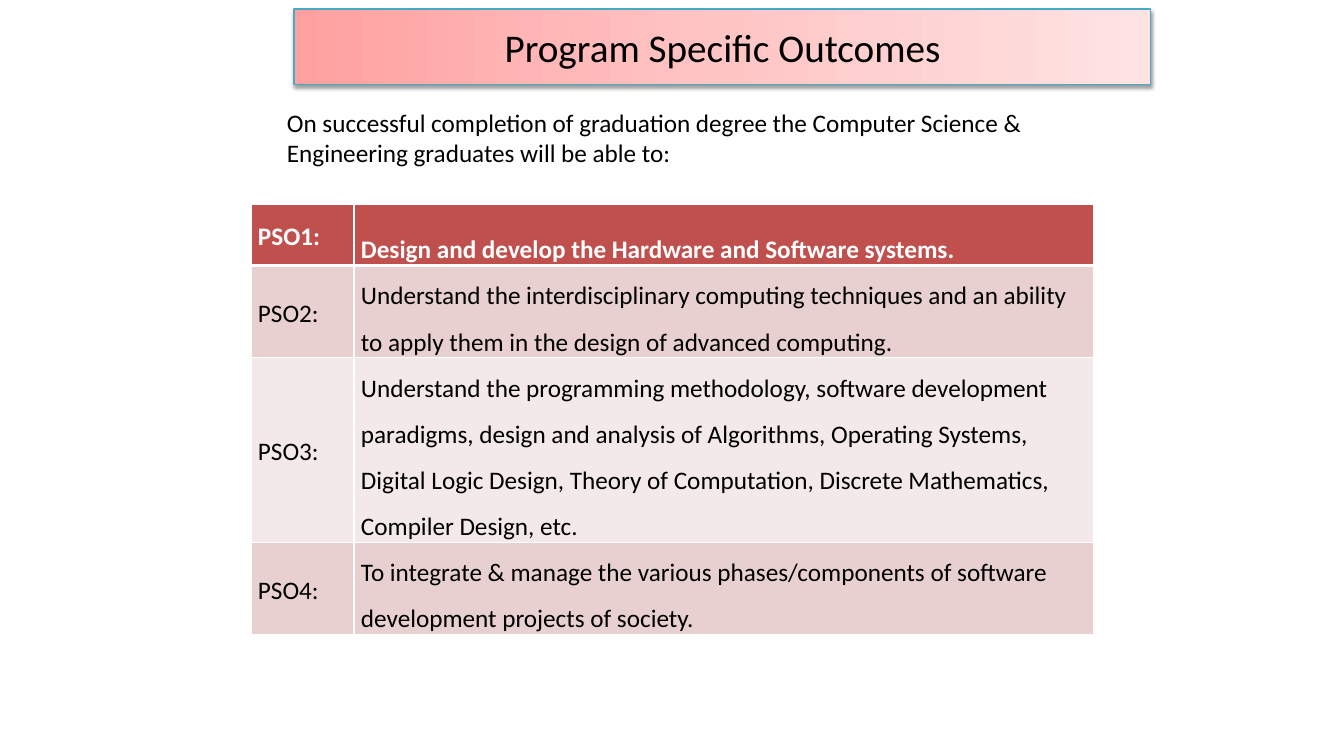
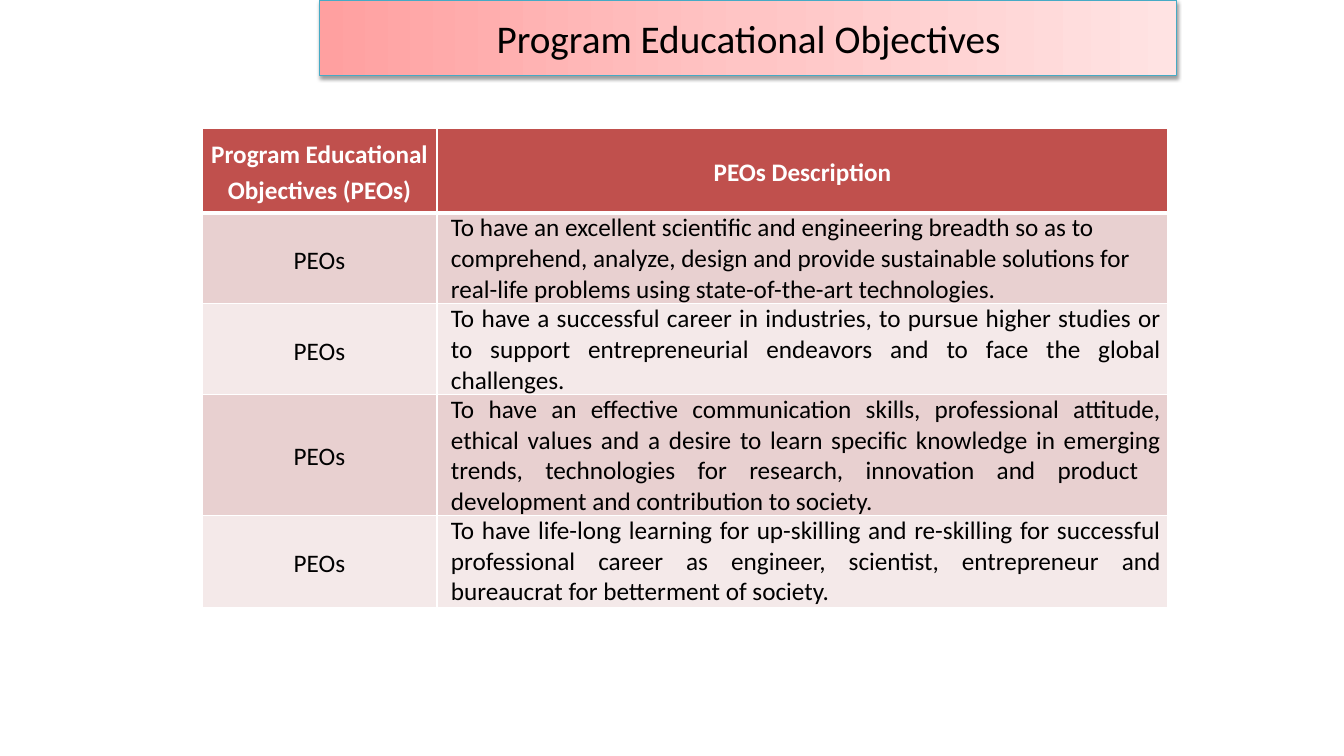
from lxml import etree
from pptx import Presentation
from pptx.dml.color import RGBColor
from pptx.enum.shapes import MSO_SHAPE
from pptx.enum.text import MSO_ANCHOR, PP_ALIGN
from pptx.oxml.ns import qn
from pptx.util import Emu, Pt

RECT = MSO_SHAPE.RECTANGLE
TOP, MID = MSO_ANCHOR.TOP, MSO_ANCHOR.MIDDLE
LEFT, MIDDLE, JUST = PP_ALIGN.LEFT, PP_ALIGN.CENTER, PP_ALIGN.JUSTIFY

FONT = "Calibri"
BLACK, WHITE = "000000", "FFFFFF"
HEAD, BANDS = "C0504D", ("E8D0D0", "F4E9E9")
EDGE = "46AAC5"
FADE = ((0, "FFA0A0"), (50, "FFC5C5"), (100, "FFE3E3"))
BANNER = (857, 76)
INSET = 7

# Cell style: alignment, line spacing, anchor, indent in px
TAG = (LEFT, 1.15, MID, 0)
TALL = (LEFT, 2.0, TOP, 0)
WIDE = (LEFT, 1.5, TOP, 0)
MARK = (MIDDLE, 1.15, MID, 0)
PLAIN = (LEFT, 1.0, MID, INSET)
BLOCK = (JUST, 1.0, MID, INSET)

SLIDES = [
    {
        "title": "Program Specific Outcomes",
        "banner": (294, 9),
        "intro": [
            "On successful completion of graduation degree the Computer Science &",
            "Engineering graduates will be able to:",
        ],
        "place": (251, 204),
        "cols": (103, 740),
        "rows": [
            (52, TAG, "PSO1:", TALL,
             "Design and develop the Hardware and Software systems."),
            (87, TAG, "PSO2:", WIDE,
             "Understand the interdisciplinary computing techniques and an "
             "ability to apply them in the design of advanced computing."),
            (178, TAG, "PSO3:", WIDE,
             "Understand the programming methodology, software development "
             "paradigms, design and analysis of Algorithms, Operating Systems, "
             "Digital Logic Design, Theory of Computation, Discrete "
             "Mathematics, Compiler Design, etc."),
            (87, TAG, "PSO4:", WIDE,
             "To integrate & manage the various phases/components of software "
             "development projects of society."),
        ],
    },
    {
        "title": "Program Educational Objectives",
        "banner": (320, 0),
        "intro": [],
        "place": (202, 128),
        "cols": (235, 731),
        "rows": [
            (85, MARK, "Program Educational Objectives (PEOs)", MARK,
             "PEOs Description"),
            (88, MARK, "PEOs", PLAIN,
             "To have an excellent scientific and engineering breadth so as to "
             "comprehend, analyze, design and provide sustainable solutions "
             "for real-life problems using state-of-the-art technologies."),
            (86, MARK, "PEOs", BLOCK,
             "To have a successful career in industries, to pursue higher "
             "studies or to support entrepreneurial endeavors and to face the "
             "global challenges."),
            (117, MARK, "PEOs", BLOCK,
             "To have an effective communication skills, professional "
             "attitude, ethical values and a desire to learn specific "
             "knowledge in emerging trends, technologies for research, "
             "innovation and product  development and contribution to "
             "society."),
            (92, MARK, "PEOs", BLOCK,
             "To have life-long learning for up-skilling and re-skilling for "
             "successful professional career as engineer, scientist, "
             "entrepreneur and bureaucrat for betterment of society."),
        ],
    },
]


def px(n):
    return Emu(round(n * 914400 / 100.8))


def rgb(code):
    return RGBColor.from_string(code)


def node(up, tag, **attrs):
    """Add a drawing element with the given attributes."""
    new = etree.SubElement(up, qn("a:" + tag))
    for key, val in attrs.items():
        new.set(key, str(val))
    return new


def style(para, size, color=BLACK, bold=False, align=LEFT):
    para.alignment = align
    font = para.font
    font.name, font.size, font.bold = FONT, Pt(size), bold
    font.color.rgb = rgb(color)


def add_banner(slide, title, place):
    box = slide.shapes.add_shape(RECT, *map(px, place + BANNER))
    props = box._element.spPr
    grad = node(props, "gradFill", rotWithShape=1)
    stops = node(grad, "gsLst")
    for pos, code in FADE:
        node(node(stops, "gs", pos=pos * 1000), "srgbClr", val=code)
    node(grad, "lin", ang=0, scaled=0)
    box.line.color.rgb = rgb(EDGE)
    box.line.width = Pt(0.75)
    box.shadow.inherit = False
    glow = node(props.find(qn("a:effectLst")), "outerShdw",
                blurRad=Pt(3.1), dist=Pt(1.6), dir=90 * 60000, rotWithShape=0)
    node(node(glow, "srgbClr", val=BLACK), "alpha", val=38000)
    frame = box.text_frame
    frame.vertical_anchor = MID
    frame.text = title
    style(frame.paragraphs[0], 28, align=MIDDLE)


def add_intro(slide, lines):
    frame = slide.shapes.add_textbox(*map(px, (277, 102, 832, 72))).text_frame
    frame.word_wrap = True
    frame.text = "\n".join(lines)
    for para in frame.paragraphs:
        style(para, 18, align=JUST)


def fill_cell(cell, text, look, row):
    align, space, anchor, indent = look
    head = row == 0
    props = cell._tc.get_or_add_tcPr()
    for side in "LRTB":
        thick = 3 if (head and side == "B") or (row == 1 and side == "T") else 1
        line = node(props, "ln" + side, w=Pt(thick))
        node(node(line, "solidFill"), "srgbClr", val=WHITE)
    cell.fill.solid()
    cell.fill.fore_color.rgb = rgb(HEAD if head else BANDS[(row - 1) % 2])
    cell.margin_left = cell.margin_right = px(INSET)
    cell.margin_top = cell.margin_bottom = 0
    cell.vertical_anchor = anchor
    cell.text = text
    para = cell.text_frame.paragraphs[0]
    para.line_spacing = space
    para._p.get_or_add_pPr().set("marL", str(px(indent)))
    style(para, 18, WHITE if head else BLACK, head, align)


def add_grid(slide, place, cols, rows):
    size = (sum(cols), sum(row[0] for row in rows))
    grid = slide.shapes.add_table(
        len(rows), len(cols), *map(px, place + size)).table
    for col, width in zip(grid.columns, cols):
        col.width = px(width)
    for i, (height, look, label, form, text) in enumerate(rows):
        grid.rows[i].height = px(height)
        fill_cell(grid.cell(i, 0), label, look, i)
        fill_cell(grid.cell(i, 1), text, form, i)


def main():
    deck = Presentation()
    deck.slide_width, deck.slide_height = px(1344), px(756)
    for data in SLIDES:
        slide = deck.slides.add_slide(deck.slide_layouts[6])
        add_grid(slide, data["place"], data["cols"], data["rows"])
        if data["intro"]:
            add_intro(slide, data["intro"])
        add_banner(slide, data["title"], data["banner"])
    deck.save("out.pptx")


if __name__ == "__main__":
    main()
